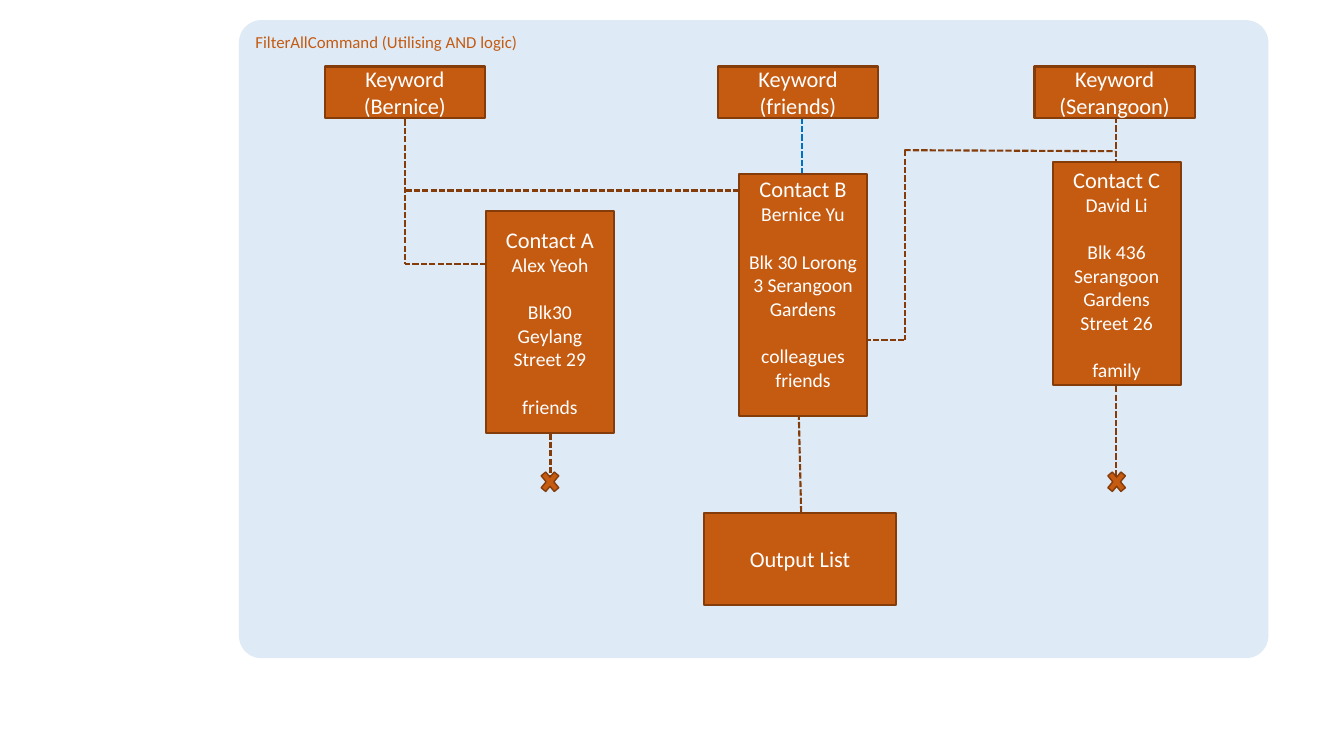
from lxml import etree
from pptx import Presentation
from pptx.dml.color import RGBColor
from pptx.enum.dml import MSO_LINE
from pptx.enum.shapes import MSO_CONNECTOR, MSO_SHAPE
from pptx.enum.text import MSO_ANCHOR, PP_ALIGN
from pptx.oxml.ns import qn
from pptx.util import Inches, Pt

RECTANGLE = MSO_SHAPE.RECTANGLE
ROUNDED = MSO_SHAPE.ROUNDED_RECTANGLE
CROSS = MSO_SHAPE.MATH_MULTIPLY
STRAIGHT = MSO_CONNECTOR.STRAIGHT
SHORT_DASH = MSO_LINE.SQUARE_DOT
LEFT, CENTER = PP_ALIGN.LEFT, PP_ALIGN.CENTER
TOP, MIDDLE = MSO_ANCHOR.TOP, MSO_ANCHOR.MIDDLE

COLORS = {
    "panel": "DEEBF7",
    "orange": "C55A11",
    "brown": "843C0B",
    "blue": "0070C0",
    "white": "FFFFFF",
}
FONT = "Calibri"
LINE_GAP = 17  # points, one line of 14 point text


class FilterDiagram:
    def __init__(self, page):
        self.page = page

    def color(self, name):
        return RGBColor.from_string(COLORS[name])

    def shape(self, kind, place, fill, line_width=None):
        shape = self.page.shapes.add_shape(kind, *map(Inches, place))
        shape.shadow.inherit = False
        shape.fill.solid()
        shape.fill.fore_color.rgb = self.color(fill)
        if line_width:
            shape.line.color.rgb = self.color("brown")
            shape.line.width = Pt(line_width)
        else:
            shape.line.fill.background()
        return shape

    def set_text(self, shape, rows, color="white", align=CENTER, anchor=MIDDLE):
        """Fill a shape with rows of (text, size, space before)."""
        frame = shape.text_frame
        frame.word_wrap = True
        frame.vertical_anchor = anchor
        frame.text = "\n".join(text for text, _, _ in rows)
        for para, (_, size, space) in zip(frame.paragraphs, rows):
            para.alignment = align
            if space:
                para.space_before = Pt(space)
            for span in para.runs:
                span.font.name = FONT
                span.font.size = Pt(size)
                span.font.color.rgb = self.color(color)

    def panel(self, place, title):
        panel = self.shape(ROUNDED, place, "panel")
        panel.adjustments[0] = 0.035
        self.set_text(panel, [(title, 12, 0)], "orange", LEFT, TOP)

    def label_box(self, place, text):
        box = self.shape(RECTANGLE, place, "orange", 1.5)
        self.set_text(box, [(text, 16, 0)])

    def contact(self, place, title, name, address, tags, bottom_inset=0.05):
        box = self.shape(RECTANGLE, place, "orange", 1.5)
        rows = [(title, 16, 0), (name, 14, 0), (address, 14, LINE_GAP)]
        rows += [(tag, 14, 0 if index else LINE_GAP) for index, tag in enumerate(tags)]
        self.set_text(box, rows)
        box.text_frame.margin_bottom = Inches(bottom_inset)

    def dashed_line(self, ends, color="brown"):
        line = self.page.shapes.add_connector(STRAIGHT, *map(Inches, ends))
        line.line.color.rgb = self.color(color)
        line.line.width = Pt(1.5)
        line.line.dash_style = SHORT_DASH
        etree.SubElement(line._element.spPr, qn("a:effectLst"))

    def reject_mark(self, left):
        self.shape(CROSS, (left, 4.63, 0.25, 0.3), "orange", 1)


def main():
    deck = Presentation()
    deck.slide_width, deck.slide_height = Inches(13.33), Inches(7.5)
    diagram = FilterDiagram(deck.slides.add_slide(deck.slide_layouts[6]))

    diagram.panel((2.37, 0.2, 10.21, 6.33), "FilterAllCommand (Utilising AND logic)")

    diagram.dashed_line((7.95, 0.75, 7.95, 2.62), "blue")
    for ends in [
        # Bernice to contacts A and B
        (4.02, 0.85, 4.02, 2.62),
        (4.82, 2.62, 4.02, 2.62),
        (4.02, 1.89, 8.33, 1.89),
        # Serangoon to contact B, and through contact C
        (8.97, 1.49, 11.06, 1.5),
        (8.98, 1.49, 8.98, 3.37),
        (8.97, 3.37, 8.48, 3.37),
        (11.07, 0.91, 11.07, 4.78),
        # Contacts A and B to their outcomes
        (5.46, 2.88, 5.46, 4.78),
        (7.95, 5.25, 7.91, 3.58),
    ]:
        diagram.dashed_line(ends)

    for left, keyword in [(3.22, "Bernice"), (7.12, "friends"), (10.26, "Serangoon")]:
        diagram.label_box((left, 0.66, 1.59, 0.51), f"Keyword ({keyword})")

    diagram.contact((4.82, 2.09, 1.27, 2.21), "Contact A", "Alex Yeoh",
                    "Blk30 Geylang Street 29", ["friends"])
    diagram.contact((7.33, 1.73, 1.27, 2.4), "Contact B", "Bernice Yu",
                    "Blk 30 Lorong 3 Serangoon Gardens", ["colleagues", "friends"],
                    bottom_inset=0.29)
    diagram.contact((10.44, 1.61, 1.27, 2.21), "Contact C", "David Li",
                    "Blk 436 Serangoon Gardens Street 26", ["family"])

    diagram.label_box((6.98, 5.09, 1.91, 0.91), "Output List")
    for left in (5.33, 10.95):
        diagram.reject_mark(left)

    deck.save("out.pptx")


if __name__ == "__main__":
    main()
